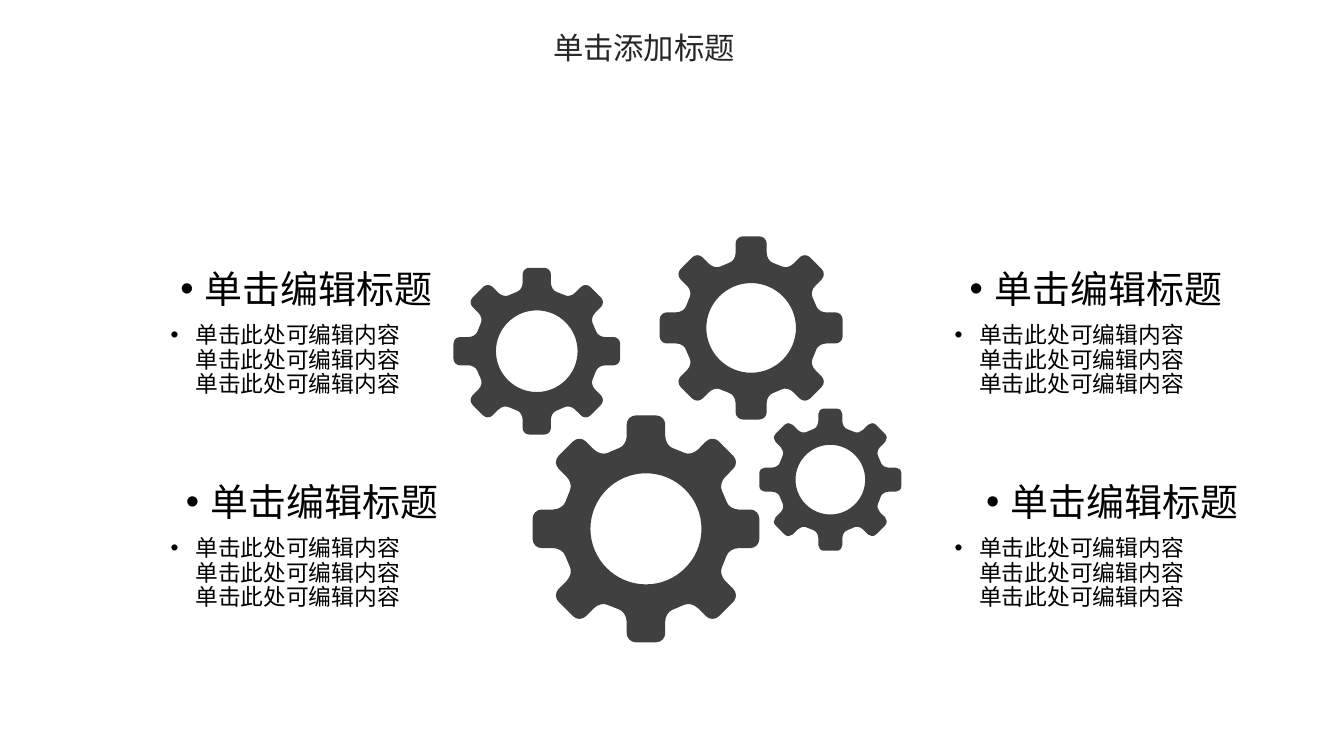
from math import cos, pi, sin

from lxml import etree
from pptx import Presentation
from pptx.dml.color import RGBColor
from pptx.enum.text import MSO_ANCHOR, MSO_AUTO_SIZE, PP_ALIGN
from pptx.oxml.ns import qn
from pptx.util import Inches, Pt

LEFT, CENTER, TOP = PP_ALIGN.LEFT, PP_ALIGN.CENTER, MSO_ANCHOR.TOP
NO_FIT = MSO_AUTO_SIZE.NONE
COLORS = {"title": "262626", "text": "000000", "gear": "404040"}
LATIN, CJK = "Calibri", "Noto Sans CJK SC"

TITLE = "单击添加标题"
HEADING = "单击编辑标题"
BODY = "单击此处可编辑内容" * 3

COLUMNS, ROWS = (1.14, 6.88), (1.93, 3.49)
HEADING_H, BODY_OFFSET, BODY_W, BODY_H = 0.38, 0.39, 1.9, 0.57
# column, row, heading width
BLOCKS = [(0, 0, 2.21), (1, 0, 2.29), (0, 1, 2.29), (1, 1, 2.53)]

# centre x, centre y, outer radius
GEARS = [(6.08, 3.51, 0.52), (5.5, 2.4, 0.67), (4.73, 3.87, 0.83), (3.93, 2.57, 0.61)]
TEETH = 8
HOLE = 0.49
KAPPA = 0.55
# Rounded corners (start, corner, end) of the top tooth and the valley to its
# right, as shares of the outer radius with the gear centre at (0, 0)
TOOTH = [
    ((-0.17, -0.92), (-0.17, -1), (-0.09, -1)),
    ((0.09, -1), (0.17, -1), (0.17, -0.92)),
    ((0.17, -0.82), (0.17, -0.73), (0.24, -0.71)),
    ((0.34, -0.67), (0.4, -0.64), (0.46, -0.7)),
]
HOLE_QUARTER = [((HOLE, 0), (HOLE, -HOLE), (0, -HOLE))]


def rotate(point, angle):
    x, y = point
    return x * cos(angle) - y * sin(angle), x * sin(angle) + y * cos(angle)


def ring(corners, count, turn, cx, cy, radius):
    """Repeat corners around the centre, with their points in slide lengths."""
    result = []
    for i in range(count):
        for corner in corners:
            spots = [rotate(point, turn * 2 * pi * i / count) for point in corner]
            result.append([(Inches(cx + radius * x), Inches(cy + radius * y))
                           for x, y in spots])
    return result


def round_corners(sp, corners):
    """Turn the straight cut across each corner into a cubic curve."""
    points = list(sp._element.iter(qn("a:pt")))
    for start, end, (_, corner, _) in zip(points[::2], points[1::2], corners):
        cut = end.getparent()
        curve = etree.Element(qn("a:cubicBezTo"))
        for anchor in (start, end):
            for_axis = {}
            for axis, target in (("x", corner[0] - sp.left), ("y", corner[1] - sp.top)):
                base = int(anchor.get(axis))
                for_axis[axis] = str(round(base + KAPPA * (target - base)))
            etree.SubElement(curve, qn("a:pt"), for_axis)
        curve.append(end)
        cut.getparent().replace(cut, curve)


def add_gear(slide, cx, cy, radius):
    rim = ring(TOOTH, TEETH, 1, cx, cy, radius)
    hole = ring(HOLE_QUARTER, 4, -1, cx, cy, radius)
    rim_points, hole_points = ([point for start, _, end in corners for point in (start, end)]
                               for corners in (rim, hole))
    builder = slide.shapes.build_freeform(*rim_points[0])
    builder.add_line_segments(rim_points[1:])
    builder.move_to(*hole_points[0])
    builder.add_line_segments(hole_points[1:])
    sp = builder.convert_to_shape()
    round_corners(sp, rim + hole)
    sp.shadow.inherit = False
    sp.fill.solid()
    sp.fill.fore_color.rgb = RGBColor.from_string(COLORS["gear"])
    sp.line.fill.background()


def write(sp, text, size, font, color, align):
    tf = sp.text_frame
    tf.word_wrap = True
    tf.auto_size = NO_FIT
    tf.vertical_anchor = TOP
    p = tf.paragraphs[0]
    p.alignment = align
    r = p.add_run()
    r.text = text
    r.font.size = Pt(size)
    r.font.name = font
    r.font.color.rgb = RGBColor.from_string(COLORS[color])
    east_asian = etree.Element(qn("a:ea"), typeface=LATIN)
    r.font._element.find(qn("a:latin")).addnext(east_asian)
    return p


def add_bullet_text(slide, box, text, size, font):
    sp = slide.shapes.add_textbox(*map(Inches, box))
    p = write(sp, text, size, font, "text", CENTER)
    p.line_spacing = 0.9
    props = p._p.get_or_add_pPr()
    props.set("marL", str(Inches(0.18)))
    props.set("indent", str(-Inches(0.18)))
    etree.SubElement(props, qn("a:buFont"), typeface="Arial")
    etree.SubElement(props, qn("a:buChar"), char="•")


def main():
    prs = Presentation()
    prs.slide_width, prs.slide_height = Inches(9.84), Inches(5.51)
    slide = prs.slides.add_slide(prs.slide_layouts[5])

    title = slide.shapes.title
    title.left, title.top, title.width, title.height = map(Inches, (3.95, 0.16, 3.25, 0.37))
    write(title, TITLE, 16, CJK, "title", LEFT)

    for gear in GEARS:
        add_gear(slide, *gear)
    for col, row, width in BLOCKS:
        x, y = COLUMNS[col], ROWS[row]
        add_bullet_text(slide, (x, y, width, HEADING_H), HEADING, 20, LATIN)
        add_bullet_text(slide, (x, y + BODY_OFFSET, BODY_W, BODY_H), BODY, 12, CJK)

    prs.save("out.pptx")


if __name__ == "__main__":
    main()
